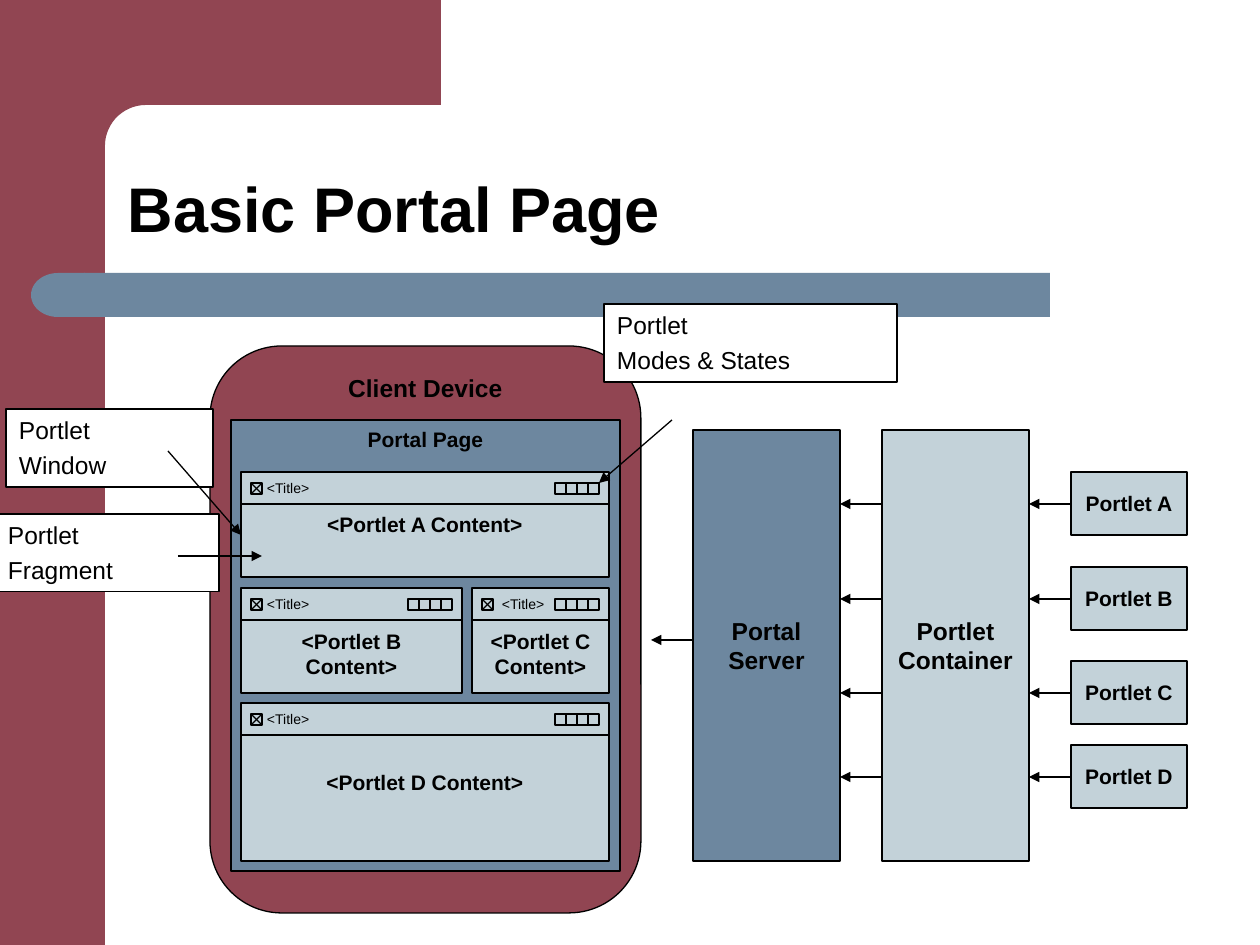
from math import cos, radians, sin

from lxml import etree
from pptx import Presentation, util as u
from pptx.dml.color import RGBColor
from pptx.enum import shapes as s, text as t
from pptx.oxml import ns

PX = u.Inches(1) // 126
RED = RGBColor(0x91, 0x45, 0x52)
BLUE = RGBColor(0x6D, 0x87, 0x9F)
PALE = RGBColor(0xC3, 0xD2, 0xD9)
WHITE = RGBColor(0xFF, 0xFF, 0xFF)
BLACK = RGBColor(0, 0, 0)
RECT = s.MSO_SHAPE.RECTANGLE
TOP, MID, BASE = t.MSO_ANCHOR.TOP, t.MSO_ANCHOR.MIDDLE, t.MSO_ANCHOR.BOTTOM
LEFT, MIDST = t.PP_ALIGN.LEFT, t.PP_ALIGN.CENTER


def paint(part, fill=None, edge=True):
    """Set fill and outline, and drop the theme shadow."""
    part.shadow.inherit = False
    if fill is None:
        part.fill.background()
    else:
        part.fill.solid()
        part.fill.fore_color.rgb = fill
    if edge:
        part.line.color.rgb = BLACK
        part.line.width = u.Pt(0.75)
    else:
        part.line.fill.background()


def shape(slide, box, fill=None, edge=True, kind=RECT):
    part = slide.shapes.add_shape(kind, *(n * PX for n in box))
    paint(part, fill, edge)
    return part


def write(part, lines, size, bold=False, align=MIDST, anchor=MID, side=13, top=6):
    """Fill the text frame with one paragraph for each line."""
    frame = part.text_frame
    frame.word_wrap = True
    frame.vertical_anchor = anchor
    frame.margin_left = frame.margin_right = side * PX
    frame.margin_top, frame.margin_bottom = top * PX, 6 * PX
    for i, line in enumerate(lines):
        para = frame.add_paragraph() if i else frame.paragraphs[0]
        para.alignment = align
        if i:
            para.space_before = u.Pt(3.5)
        run = para.add_run()
        run.text = line
        font = run.font
        font.name, font.size, font.bold = "Arial", u.Pt(size), bold
        font.color.rgb = BLACK
    return frame


def link(slide, start, end, arrow=False):
    ends = [n * PX for n in (*start, *end)]
    line = slide.shapes.add_connector(s.MSO_CONNECTOR.STRAIGHT, *ends)
    line.line.color.rgb = BLACK
    line.line.width = u.Pt(0.75)
    if arrow:
        etree.SubElement(line.line._get_or_add_ln(), ns.qn("a:tailEnd"), type="triangle")
    etree.SubElement(line._element.spPr, ns.qn("a:effectLst"))


def backdrop(slide, box):
    """Left band, top corner with a rounded inner edge, and the title bar."""
    x, y, wide, high = box
    band, rad = 105, 41
    shape(slide, (x, y, band, high), RED, False)
    mid = band + rad
    arc = [(x + mid + rad * cos(radians(a)), y + mid + rad * sin(radians(a)))
           for a in range(270, 179, -6)]
    edge = [(x + 441, y), (x + 441, y + band), *arc, (x + band, y + 161), (x + 63, y + 161)]
    pen = slide.shapes.build_freeform((x + 63) * PX, y * PX)
    pen.add_line_segments([(round(a * PX), round(b * PX)) for a, b in edge])
    paint(pen.convert_to_shape(), RED, False)
    shape(slide, (x + 84, y + 273, 966, 44), BLUE, False)
    cap = shape(slide, (x + 31, y + 273, 54, 44), BLUE, False, s.MSO_SHAPE.FLOWCHART_DELAY)
    cap.rotation = 180


def title(slide, box):
    part = slide.shapes.add_textbox(*(n * PX for n in box))
    frame = write(part, ["Basic Portal Page"], 36, True, LEFT, BASE)
    frame.paragraphs[0].line_spacing = 0.9


def window(slide, box, name, top=6, gap=16):
    """Portlet window with a title strip, crossed box and four buttons."""
    x, y, wide, high = box
    body = shape(slide, box, PALE)
    write(body, [f"<Portlet {name} Content>"], 12, True, side=16, top=top)
    strip, cell = 32, 11
    link(slide, (x, y + strip), (x + wide, y + strip))
    left, up = x + 10, y + 11
    for i in range(4):
        shape(slide, (x + wide - 10 - (4 - i) * cell, up, cell, cell))
    shape(slide, (left, up, cell, cell))
    link(slide, (left, up), (left + cell, up + cell))
    link(slide, (left + cell, up), (left, up + cell))
    tag = slide.shapes.add_textbox((left + gap) * PX, y * PX, 60 * PX, strip * PX)
    write(tag, ["<Title>"], 8, align=LEFT, side=0)


def device(slide, box):
    x, y, wide, high = box
    case = shape(slide, box, RED, kind=s.MSO_SHAPE.ROUNDED_RECTANGLE)
    write(case, ["Client Device"], 14, True, anchor=TOP)
    page = shape(slide, (x + 21, y + 74, 389, 451), BLUE)
    write(page, ["Portal Page"], 12, True, anchor=TOP)
    left = x + 31
    window(slide, (left, y + 357, 368, 158), "D")
    window(slide, (left, y + 242, 221, 105), "B", 33)
    window(slide, (left, y + 126, 368, 105), "A")
    window(slide, (left + 231, y + 242, 137, 105), "C", 33, 20)


def label(slide, box, lines, start, end):
    """Framed note with an arrow to the part it names."""
    write(shape(slide, box, WHITE), lines, 14, align=LEFT, anchor=TOP)
    link(slide, start, end, True)


def server(slide, box):
    """Portal server, portlet container and the portlets that feed them."""
    x, y, wide, high = box
    col, gap = 147, 42
    step = col + gap
    for i, (name, fill) in enumerate((("Portal Server", BLUE), ("Portlet Container", PALE))):
        write(shape(slide, (x + i * step, y, col, high), fill), [name], 14, True)
    left = x + 2 * step
    for name, drop in zip("ABCD", (42, 137, 231, 315)):
        part = shape(slide, (left, y + drop, wide - 2 * step, 63), PALE)
        write(part, [f"Portlet {name}"], 12, True, side=12)
        mid = y + drop + 32
        for end in (x + step, left):
            link(slide, (end, mid), (end - gap, mid), True)
    link(slide, (x, y + 210), (x - gap, y + 210), True)


def main():
    deck = Presentation()
    deck.slide_width, deck.slide_height = 1260 * PX, 945 * PX
    slide = deck.slides.add_slide(deck.slide_layouts[6])
    backdrop(slide, (0, 0, 1260, 945))
    title(slide, (115, 115, 1072, 137))
    device(slide, (210, 346, 431, 567))
    label(slide, (6, 409, 207, 78), ["Portlet", "Window"], (168, 451), (241, 535))
    label(slide, (-5, 514, 224, 78), ["Portlet", "Fragment"], (178, 556), (262, 556))
    label(slide, (604, 304, 293, 78), ["Portlet", "Modes & States"], (672, 420), (599, 483))
    server(slide, (693, 430, 494, 431))
    deck.save("out.pptx")


if __name__ == "__main__":
    main()
